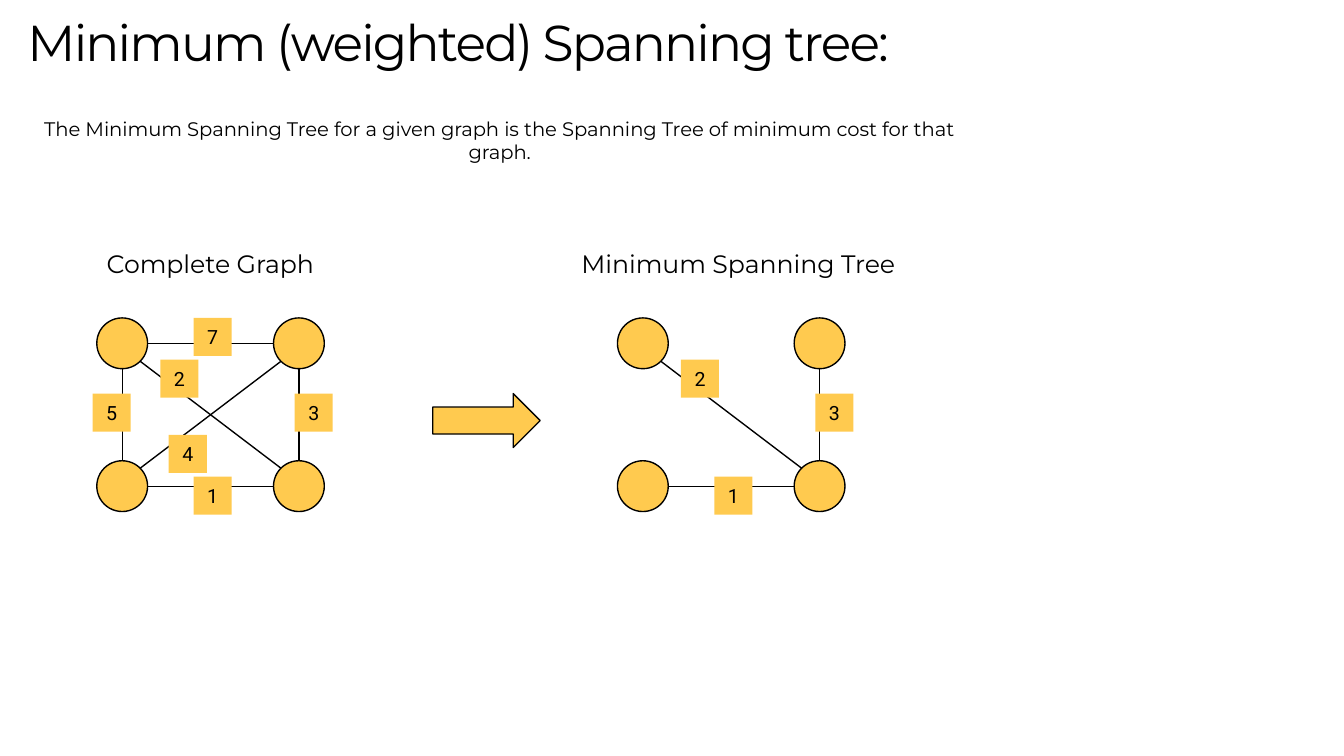
"""Build a slide that sets a complete weighted graph beside its minimum spanning tree."""
from math import hypot

from lxml.etree import SubElement
from pptx import Presentation
from pptx.dml.color import RGBColor
from pptx.enum.shapes import MSO_CONNECTOR, MSO_SHAPE
from pptx.enum.text import MSO_ANCHOR, MSO_AUTO_SIZE, PP_ALIGN
from pptx.oxml.ns import qn
from pptx.util import Cm, Pt

BLACK = RGBColor(0, 0, 0)
GOLD = RGBColor(0xFF, 0xCA, 0x4F)

NODES = [(2.31, 6.49), (5.65, 6.49), (2.31, 9.19), (5.65, 9.19)]
EDGES = {
    5: (0, 2, 2.11, 7.8),
    7: (0, 1, 4.02, 6.37),
    2: (0, 3, 3.39, 7.16),
    1: (2, 3, 4.02, 9.37),
    3: (1, 3, 5.93, 7.8),
    4: (1, 2, 3.55, 8.58),
}
RADIUS = 0.48
TAG = 0.72


def write(shape, text, size=10.5, font="Montserrat", align=PP_ALIGN.CENTER,
          wrap=False, track=0, leading=None):
    frame = shape.text_frame
    frame.word_wrap = wrap
    frame.auto_size = MSO_AUTO_SIZE.SHAPE_TO_FIT_TEXT
    para = frame.paragraphs[0]
    para.alignment = align
    para.line_spacing = leading
    run = para.add_run()
    run.text = text
    run.font.size = Pt(size)
    run.font.name = font
    run.font.color.rgb = BLACK
    if track:
        run.font._element.set("spc", str(track))


def label(slide, text, left, top, width, height, **style):
    box = slide.shapes.add_textbox(Cm(left), Cm(top), Cm(width), Cm(height))
    write(box, text, **style)
    return box


def block(slide, kind, left, top, width, height, border=True):
    shape = slide.shapes.add_shape(kind, Cm(left), Cm(top), Cm(width), Cm(height))
    shape.shadow.inherit = False
    shape.fill.solid()
    shape.fill.fore_color.rgb = GOLD
    if border:
        shape.line.color.rgb = BLACK
        shape.line.width = Pt(0.75)
    else:
        shape.line.fill.background()
    return shape


def sign(value):
    return (value > 0) - (value < 0)


def link(slide, start, end):
    (x1, y1), (x2, y2) = start, end
    across, down = sign(x2 - x1), sign(y2 - y1)
    step = RADIUS / hypot(across, down)
    line = slide.shapes.add_connector(
        MSO_CONNECTOR.STRAIGHT,
        Cm(x1 + across * step), Cm(y1 + down * step),
        Cm(x2 - across * step), Cm(y2 - down * step))
    line.line.color.rgb = BLACK
    line.line.width = Pt(0.75)
    SubElement(line._element.spPr, qn("a:effectLst"))


def graph(slide, weights, shift=0):
    nodes = [(x + shift, y) for x, y in NODES]
    for x, y in nodes:
        block(slide, MSO_SHAPE.OVAL, x - RADIUS, y - RADIUS, 2 * RADIUS, 2 * RADIUS)
    for weight in weights:
        start, end, _, _ = EDGES[weight]
        link(slide, nodes[start], nodes[end])
    for weight in weights:
        _, _, x, y = EDGES[weight]
        tag = block(slide, MSO_SHAPE.RECTANGLE, x + shift - TAG / 2, y - TAG / 2,
                    TAG, TAG, border=False)
        write(tag, str(weight), font="Roboto")


def heading(slide):
    title = label(slide, "Minimum (weighted) Spanning tree:", 0.1, -0.43, 19.81, 1.9,
                  size=27, align=PP_ALIGN.LEFT, wrap=True, track=-100, leading=0.9)
    frame = title.text_frame
    frame.auto_size = MSO_AUTO_SIZE.NONE
    frame.vertical_anchor = MSO_ANCHOR.BOTTOM
    frame.margin_left = Cm(0.42)
    frame.margin_right = Cm(0.18)
    frame.margin_top = frame.margin_bottom = Cm(0.1)


def main():
    deck = Presentation()
    deck.slide_width, deck.slide_height = Cm(25.4), Cm(14.29)
    slide = deck.slides.add_slide(deck.slide_layouts[6])
    heading(slide)
    label(slide, "The Minimum Spanning Tree for a given graph is the Spanning Tree "
          "of minimum cost for that graph.", 0.15, 2.08, 18.59, 1.73, wrap=True)
    graph(slide, EDGES)
    graph(slide, [2, 1, 3], shift=9.84)
    block(slide, MSO_SHAPE.RIGHT_ARROW, 8.18, 7.44, 2.03, 1.02)
    label(slide, "Complete Graph", 1.6, 4.57, 4.75, 0.84, size=13.5)
    label(slide, "Minimum Spanning Tree", 10.54, 4.57, 6.83, 0.84, size=13.5)
    deck.save("out.pptx")


if __name__ == "__main__":
    main()
